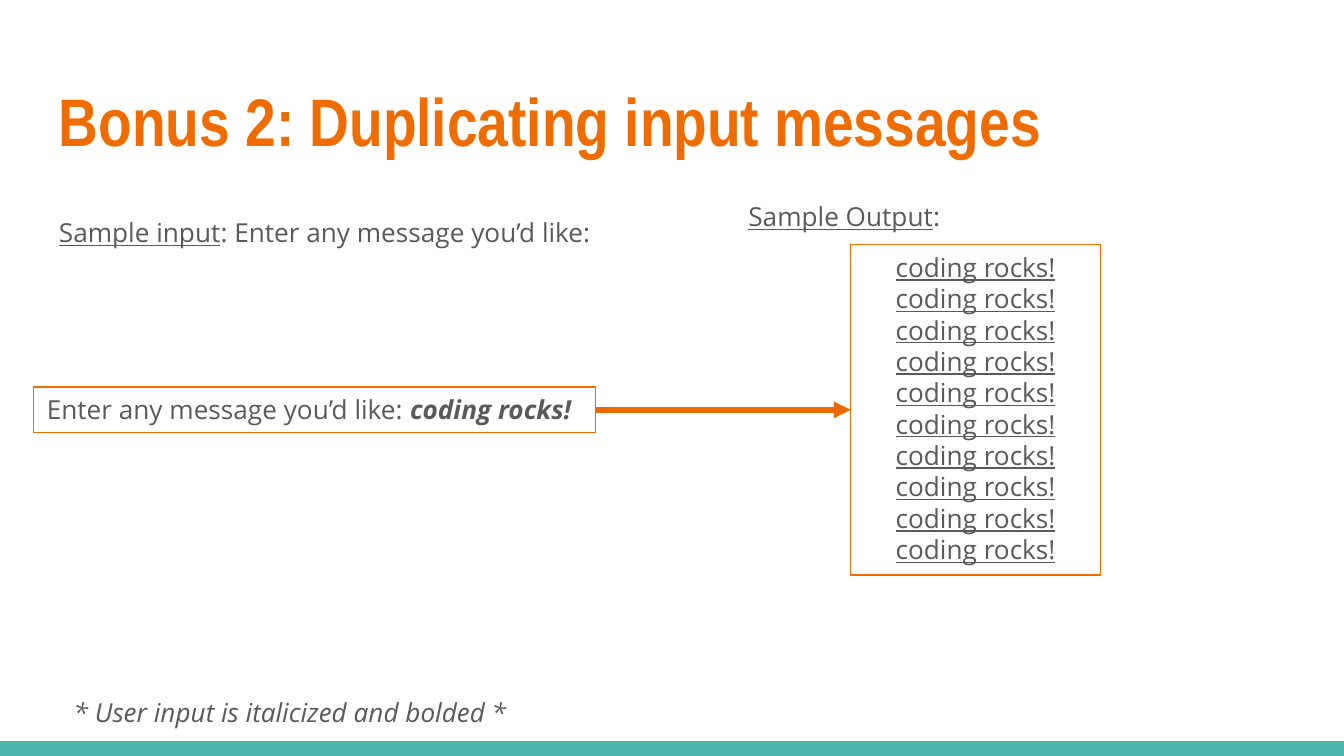
import lxml.etree
import pptx
import pptx.dml.color
import pptx.enum.shapes
import pptx.enum.text
import pptx.oxml.ns
import pptx.util
from pptx.util import Inches

ORANGE = "EF6C00"
GREY = "595959"


def color(value):
    return pptx.dml.color.RGBColor.from_string(value)


def add_text(left, top, width, height, lines, outlined=False, centered=False, middle=False):
    """Add 14 pt lines, each a list of (text, styles); styles are letters from b, i, u."""
    place = Inches(left), Inches(top), Inches(width), Inches(height)
    if outlined:
        box = slide.shapes.add_shape(pptx.enum.shapes.MSO_SHAPE.RECTANGLE, *place)
        box.shadow.inherit = False
        box.fill.background()
        box.line.color.rgb = color(ORANGE)
        box.line.width = pptx.util.Pt(0.75)
    else:
        box = slide.shapes.add_textbox(*place)
    frame = box.text_frame
    frame.word_wrap = True
    frame.auto_size = pptx.enum.text.MSO_AUTO_SIZE.SHAPE_TO_FIT_TEXT
    anchors = pptx.enum.text.MSO_ANCHOR
    frame.vertical_anchor = anchors.MIDDLE if middle else anchors.TOP
    alignments = pptx.enum.text.PP_ALIGN
    for index, spans in enumerate(lines):
        para = frame.add_paragraph() if index else frame.paragraphs[0]
        para.alignment = alignments.CENTER if centered else alignments.LEFT
        para.font.name = "Open Sans"
        para.font.size = pptx.util.Pt(14)
        para.font.color.rgb = color(GREY)
        for text, styles in spans:
            span = para.add_run()
            span.text = text
            span.font.bold = "b" in styles
            span.font.italic = "i" in styles
            span.font.underline = "u" in styles
    return box


deck = pptx.Presentation()
deck.slide_width = Inches(10)
deck.slide_height = deck.slide_width * 9 // 16
slide = deck.slides.add_slide(deck.slide_layouts[6])

# Footer band
band_height = Inches(0.11)
band = slide.shapes.add_shape(
    pptx.enum.shapes.MSO_SHAPE.RECTANGLE,
    0, deck.slide_height - band_height, deck.slide_width, band_height)
band.shadow.inherit = False
band.fill.solid()
band.fill.fore_color.rgb = color("4DB6AC")
band.line.fill.background()

# Title
title = slide.shapes.add_textbox(Inches(0.34), Inches(0.49), Inches(9.32), Inches(0.77))
title.text_frame.word_wrap = True
title.text_frame.margin_top = title.text_frame.margin_bottom = Inches(0.1)
para = title.text_frame.paragraphs[0]
para.text = "Bonus 2: Duplicating input messages"
para.font.name = "Arial Narrow"
para.font.size = pptx.util.Pt(36)
para.font.bold = True
para.font.color.rgb = color(ORANGE)

# Labels and note
prompt = "Enter any message you’d like:"
message = "coding rocks!"
add_text(0.34, 1.56, 4.18, 0.34, [[("Sample input", "u"), (f": {prompt}", "")]], middle=True)
add_text(5.47, 1.44, 4.18, 0.34, [[("Sample Output", "u"), (":", "")]], middle=True)
add_text(0.45, 5.13, 5, 0.34, [[("* User input is italicized and bolded *", "i")]])

# Input and repeated output
output_box = add_text(6.33, 1.82, 1.86, 2.46, [[(message, "u")]] * 10,
                      outlined=True, centered=True)
input_box = add_text(0.25, 2.88, 4.18, 0.34, [[(f"{prompt} ", ""), (message, "bi")]],
                     outlined=True)

# Arrow from input to output
arrow = slide.shapes.add_connector(
    pptx.enum.shapes.MSO_CONNECTOR.CURVE,
    Inches(4.43), Inches(3.05), Inches(6.33), Inches(3.05))
arrow.begin_connect(input_box, 3)
arrow.end_connect(output_box, 1)
arrow.line.color.rgb = color("EA6A00")
arrow.line.width = pptx.util.Pt(3)
properties = arrow.element.spPr
line = properties.find(pptx.oxml.ns.qn("a:ln"))
lxml.etree.SubElement(line, pptx.oxml.ns.qn("a:tailEnd"), type="triangle")
lxml.etree.SubElement(properties, pptx.oxml.ns.qn("a:effectLst"))

deck.save("out.pptx")
